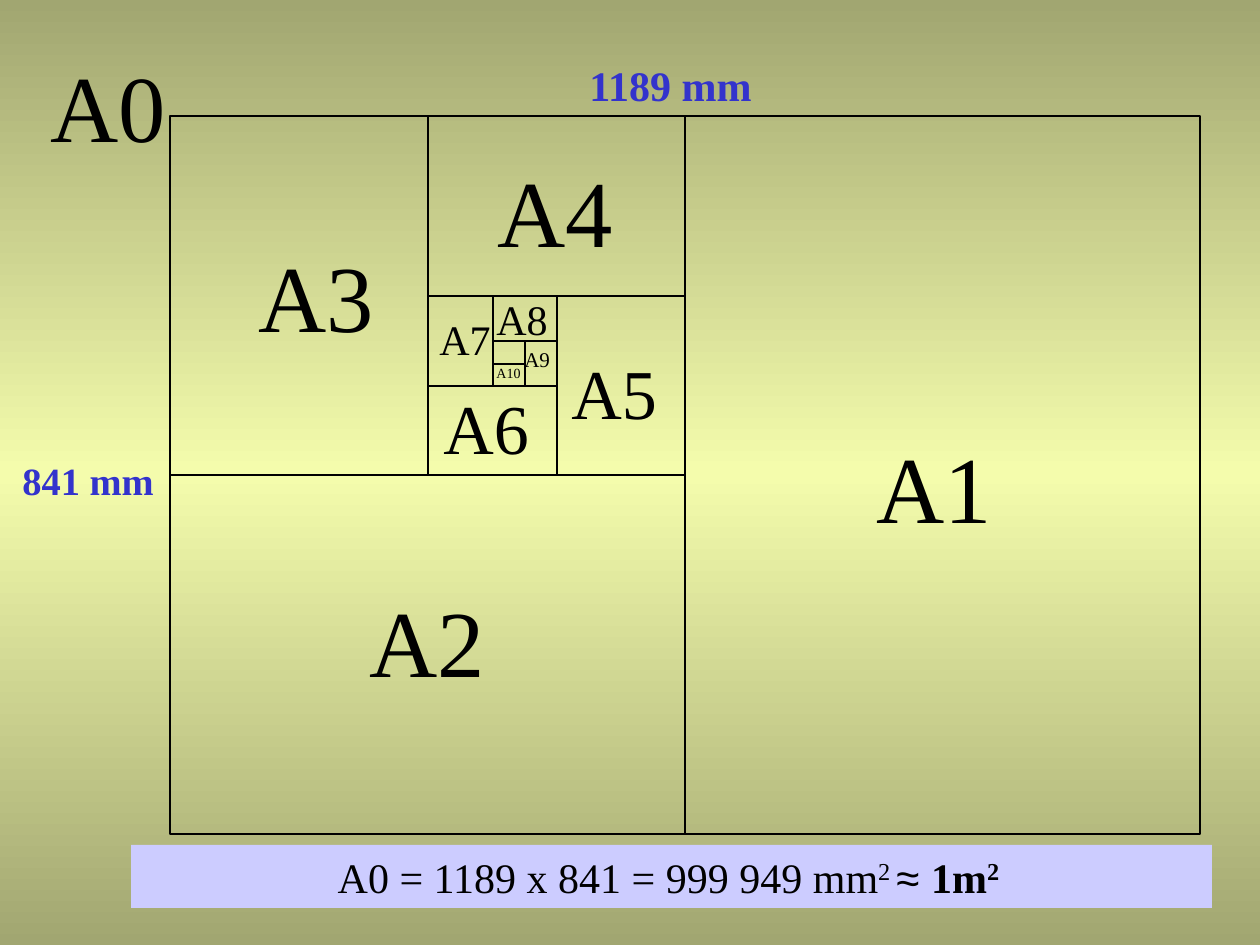
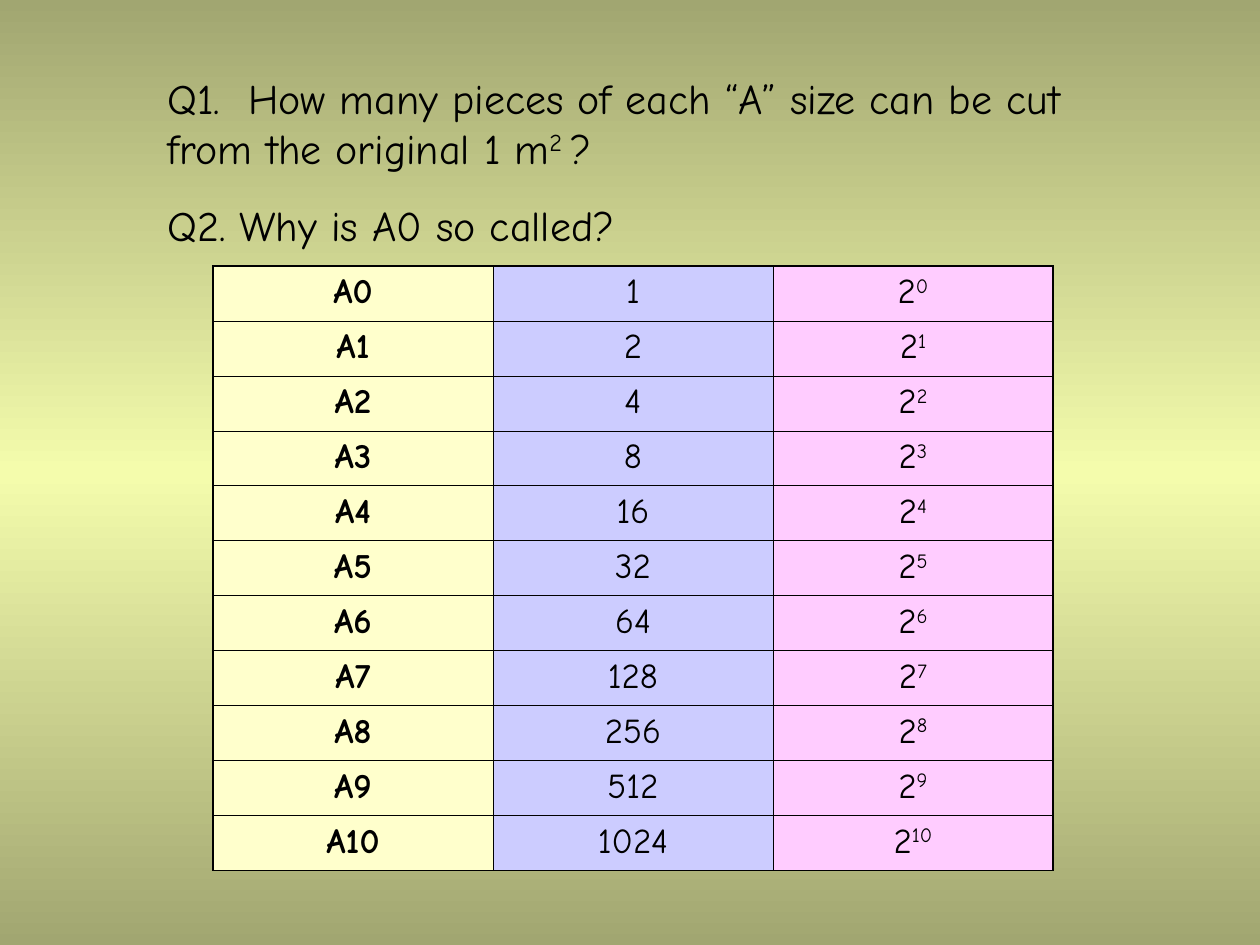
import copy
from typing import NamedTuple

import pptx
import pptx.dml.color
import pptx.enum.shapes
import pptx.enum.text
import pptx.oxml
import pptx.oxml.ns
import pptx.util
from pptx.shapes.autoshape import Shape
from pptx.slide import Slide
from pptx.text.text import TextFrame

PX = 914400 // 126
SERIF, SANS, HAND = "Times New Roman", "Arial", "Comic Neue"
BLACK, BLUE = "000000", "3333CC"
CREAM, LILAC, PINK = "FFFFCC", "CCCCFF", "FFCCFF"
OLIVE, PALE_YELLOW = "A1A671", "F4FCAC"
THIN, OUTER, INNER = 0.75, 1.08, 0.45
LEFT = pptx.enum.text.PP_ALIGN.LEFT
CENTER = pptx.enum.text.PP_ALIGN.CENTER


class Box(NamedTuple):
    left: int
    top: int
    width: int
    height: int


class Span(NamedTuple):
    text: str
    bold: bool = False
    raised: bool = False
    font: str = ""


class SizeLabel(NamedTuple):
    name: str
    left: int
    top: int
    points: int


LABEL_EXTENT = {54: (147, 126), 40: (121, 97), 24: (77, 63), 12: (66, 38), 8: (59, 30)}
SIZE_LABELS = [
    SizeLabel("A0", 38, 42, 54),
    SizeLabel("A1", 864, 423, 54),
    SizeLabel("A2", 357, 577, 54),
    SizeLabel("A3", 246, 232, 54),
    SizeLabel("A4", 485, 147, 54),
    SizeLabel("A5", 559, 343, 40),
    SizeLabel("A6", 431, 378, 40),
    SizeLabel("A7", 427, 307, 24),
    SizeLabel("A8", 484, 287, 24),
    SizeLabel("A9", 512, 340, 12),
    SizeLabel("A10", 484, 358, 8),
]
SHEET = Box(170, 116, 1030, 718)
# The half that stays and is cut again, after each cut in turn
KEPT_HALVES = ["left", "top", "right", "bottom"]
CUTS = 10


def px(length: int) -> pptx.util.Emu:
    return pptx.util.Emu(length * PX)


def rgb(code: str) -> pptx.dml.color.RGBColor:
    return pptx.dml.color.RGBColor.from_string(code)


def write(frame: TextFrame, paragraphs: list[list[Span]], *, points: int,
          font: str = SERIF, color: str = BLACK, align=LEFT,
          space_before: int = 0, tab: int = 0) -> None:
    """Fill a text frame; space_before applies from the second paragraph on."""
    frame.word_wrap = True
    for number, spans in enumerate(paragraphs):
        paragraph = frame.add_paragraph() if number else frame.paragraphs[0]
        if tab:
            stops = pptx.oxml.parse_xml(
                f'<a:tabLst {pptx.oxml.ns.nsdecls("a")}>'
                f'<a:tab pos="{px(tab)}" algn="l"/></a:tabLst>')
            paragraph._p.get_or_add_pPr().append(stops)
        paragraph.alignment = align
        if number:
            paragraph.space_before = pptx.util.Pt(space_before)
        for span in spans:
            run = paragraph.add_run()
            run.text = span.text
            run.font.name = span.font or font
            run.font.size = pptx.util.Pt(points)
            run.font.bold = span.bold
            run.font.color.rgb = rgb(color)
            if span.raised:
                run.font._element.set("baseline", "30000")


def add_text(slide: Slide, box: Box, paragraphs: list[list[Span]], **style) -> None:
    write(slide.shapes.add_textbox(*map(px, box)).text_frame, paragraphs, **style)


def add_rectangle(slide: Slide, box: Box, fill: str = "", line: str = "") -> Shape:
    kind = pptx.enum.shapes.MSO_SHAPE.RECTANGLE
    rectangle = slide.shapes.add_shape(kind, *map(px, box))
    rectangle.shadow.inherit = False
    if fill:
        rectangle.fill.solid()
        rectangle.fill.fore_color.rgb = rgb(fill)
    else:
        rectangle.fill.background()
    if line:
        rectangle.line.color.rgb = rgb(line)
        rectangle.line.width = pptx.util.Pt(THIN)
    else:
        rectangle.line.fill.background()
    return rectangle


def add_line(slide: Slide, x1: int, y1: int, x2: int, y2: int):
    kind = pptx.enum.shapes.MSO_CONNECTOR.STRAIGHT
    line = slide.shapes.add_connector(kind, px(x1), px(y1), px(x2), px(y2))
    line.line.color.rgb = rgb(BLACK)
    line.line.width = pptx.util.Pt(THIN)
    effects = pptx.oxml.parse_xml(f'<a:effectLst {pptx.oxml.ns.nsdecls("a")}/>')
    line._element.spPr.append(effects)
    return line


def set_background(master) -> None:
    """Give every slide the vertical olive and yellow gradient."""
    fill = master.background.fill
    fill.gradient()
    fill.gradient_angle = 90
    stop_list = master.element.find(".//" + pptx.oxml.ns.qn("a:gsLst"))
    stop_list.append(copy.deepcopy(stop_list[-1]))
    colors = [OLIVE, PALE_YELLOW, OLIVE]
    for stop, position, color in zip(fill.gradient_stops, (0, 0.5, 1), colors):
        stop.position = position
        stop.color.rgb = rgb(color)


def add_sheet_cuts(slide: Slide) -> None:
    """Halve the sheet again and again, across and down by turns."""
    sheet = add_rectangle(slide, SHEET, line=BLACK)
    left, top = SHEET.left, SHEET.top
    right, bottom = left + SHEET.width, top + SHEET.height
    for cut in range(CUTS):
        kept = KEPT_HALVES[cut % len(KEPT_HALVES)]
        if kept in ("left", "right"):
            middle = (left + right + 1) // 2
            line = add_line(slide, middle, top, middle, bottom)
        else:
            middle = (top + bottom + 1) // 2
            line = add_line(slide, left, middle, right, middle)
        if cut == 0:
            line.begin_connect(sheet, 0)
            line.end_connect(sheet, 2)
        elif cut == 1:
            line.begin_connect(sheet, 1)
        if kept == "left":
            right = middle
        elif kept == "top":
            bottom = middle
        elif kept == "right":
            left = middle
        else:
            top = middle


def build_paper_sizes(slide: Slide) -> None:
    add_sheet_cuts(slide)
    for label in SIZE_LABELS:
        box = Box(label.left, label.top, *LABEL_EXTENT[label.points])
        add_text(slide, box, [[Span(label.name)]], points=label.points)
    add_text(slide, Box(577, 53, 209, 63), [[Span("1189 mm", bold=True)]],
             points=24, color=BLUE)
    add_text(slide, Box(10, 451, 179, 59), [[Span("841 mm", bold=True)]],
             points=22, color=BLUE)
    area = add_rectangle(slide, Box(131, 845, 1081, 63), fill=LILAC)
    write(area.text_frame, [[
        Span("A0 = 1189 x 841 = 999 949 mm"),
        Span("2 ", raised=True),
        Span("≈ ", font=SANS),
        Span("1m", bold=True),
        Span("2 ", bold=True, raised=True),
    ]], points=24, align=CENTER)


def add_borders(cell, widths: dict[str, float]) -> None:
    for side, width in widths.items():
        cell._tc.get_or_add_tcPr().append(pptx.oxml.parse_xml(
            f'<a:ln{side} {pptx.oxml.ns.nsdecls("a")} w="{pptx.util.Pt(width)}">'
            f'<a:solidFill><a:srgbClr val="{BLACK}"/></a:solidFill></a:ln{side}>'))


def add_piece_table(slide: Slide) -> None:
    fills = [CREAM, LILAC, PINK]
    row_count, column_count = CUTS + 1, len(fills)
    column_width, row_height = 280, 55
    box = Box(213, 266, column_count * column_width, row_count * row_height)
    pieces = slide.shapes.add_table(row_count, column_count, *map(px, box)).table
    pieces.first_row = pieces.horz_banding = False
    for column in pieces.columns:
        column.width = px(column_width)
    for n, row in enumerate(pieces.rows):
        row.height = px(row_height)
        entries = [
            [Span(f"A{n}", bold=True)],
            [Span(str(2 ** n))],
            [Span("2"), Span(str(n), raised=True)],
        ]
        for c, (cell, spans, fill) in enumerate(zip(row.cells, entries, fills)):
            add_borders(cell, {
                "L": OUTER if c == 0 else INNER,
                "R": OUTER if c == column_count - 1 else INNER,
                "T": OUTER if n == 0 else INNER,
                "B": OUTER if n == row_count - 1 else INNER,
            })
            cell.fill.solid()
            cell.fill.fore_color.rgb = rgb(fill)
            write(cell.text_frame, [spans], points=20, font=HAND, align=CENTER)


def build_questions(slide: Slide) -> None:
    add_text(slide, Box(155, 66, 974, 190), [
        [
            Span("Q1.\tHow many pieces of each “A” size can be cut "
                 "from the original 1 m"),
            Span("2 ", raised=True),
            Span("?"),
        ],
        [Span("Q2. Why is A0 so called?")],
    ], points=24, font=HAND, space_before=15, tab=81)
    add_piece_table(slide)


def main() -> None:
    deck = pptx.Presentation()
    deck.slide_width, deck.slide_height = px(1260), px(945)
    set_background(deck.slide_master)
    blank = deck.slide_layouts[6]
    for build in (build_paper_sizes, build_questions):
        build(deck.slides.add_slide(blank))
    deck.save("out.pptx")


if __name__ == "__main__":
    main()
